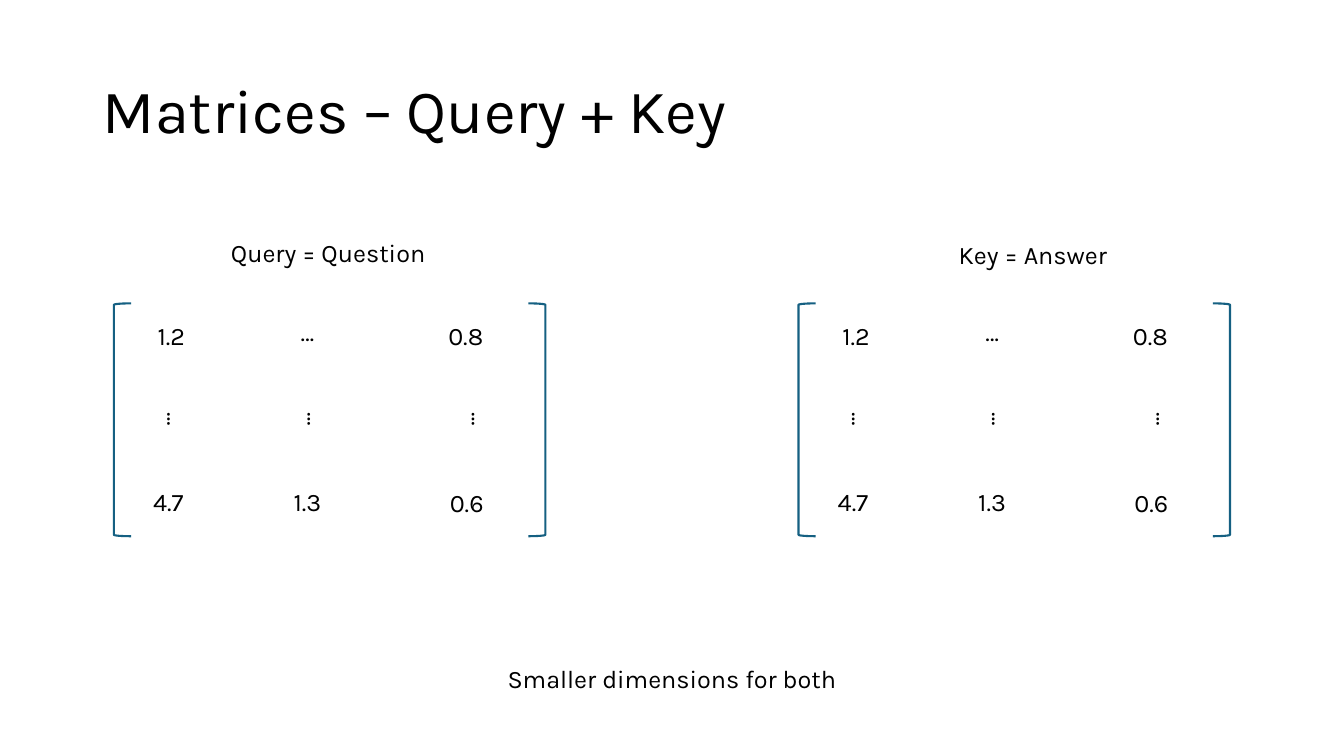
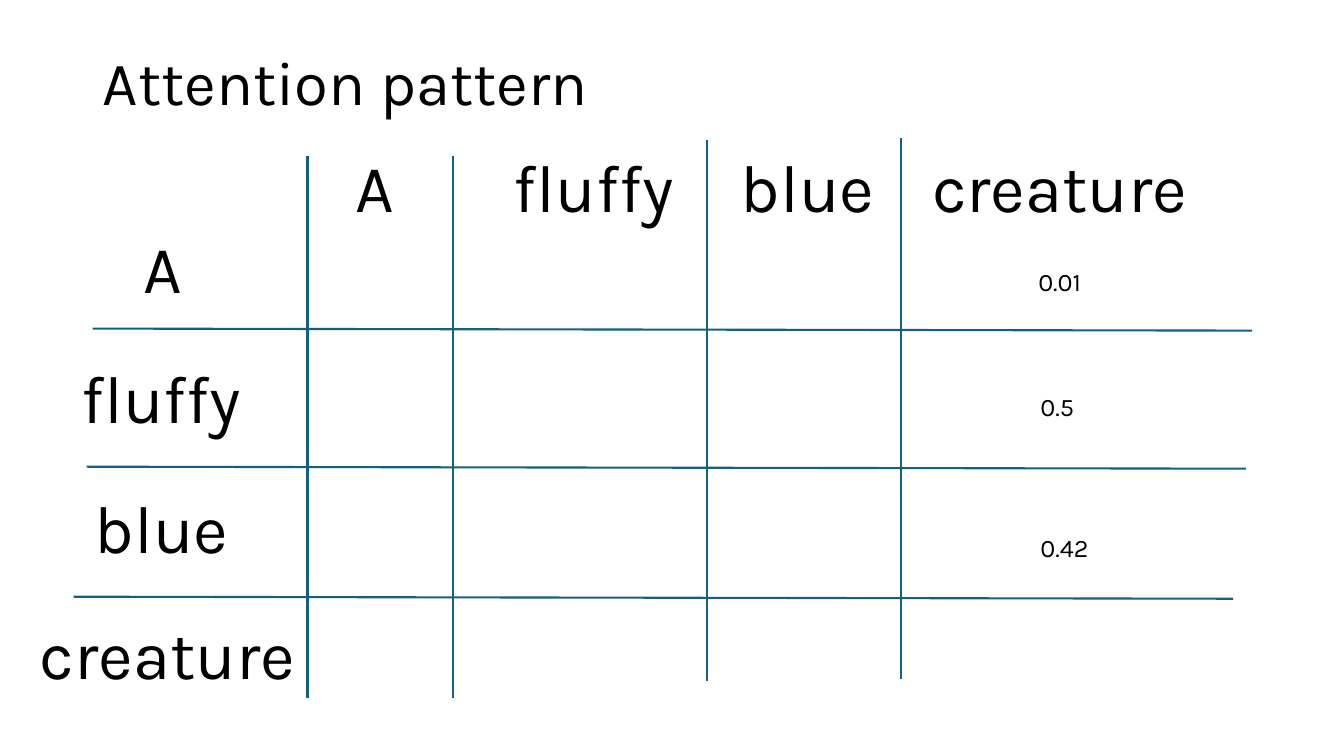
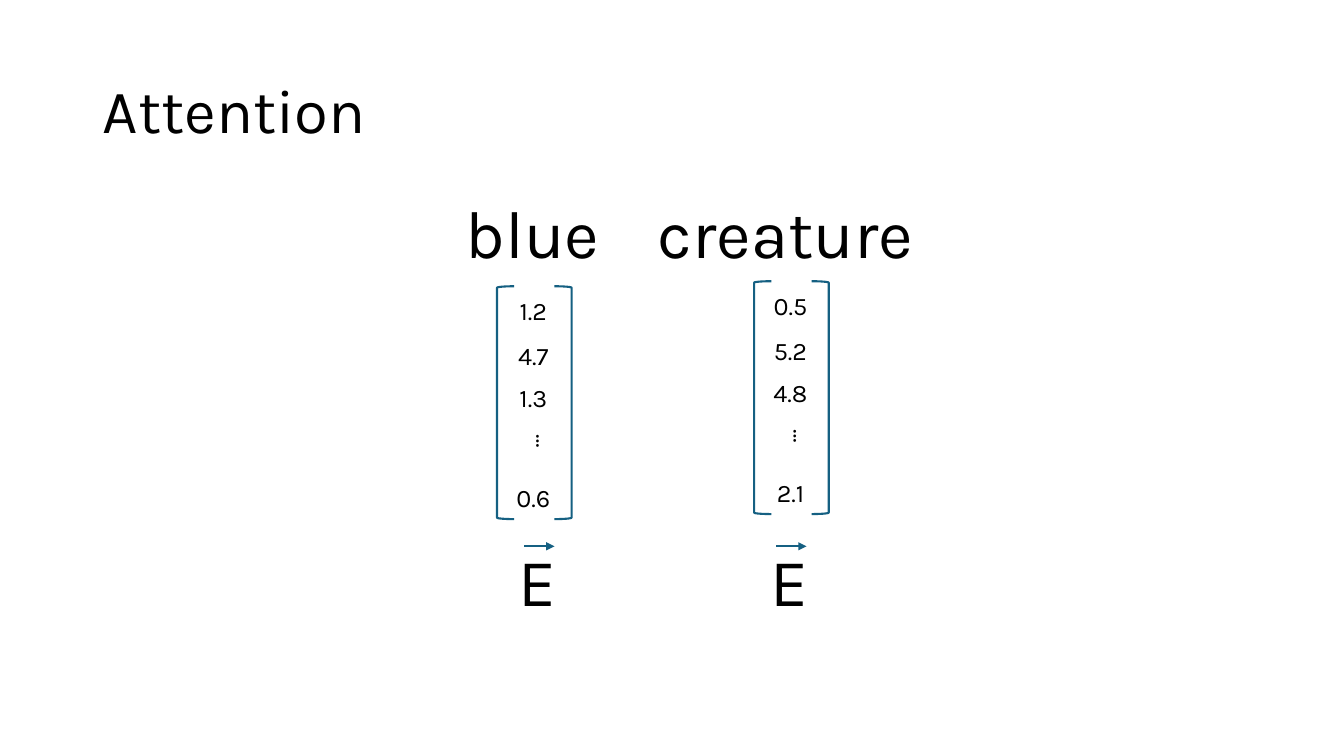
from pptx import Presentation
from pptx import util as u
from pptx.dml.color import RGBColor
from pptx.enum import shapes, text
from pptx.oxml import ns
from lxml import etree

Inches = u.Inches
BLACK = RGBColor(0x00, 0x00, 0x00)
TEAL = RGBColor(0x15, 0x60, 0x82)
FONT = "Karla"
LEFT, CENTER = text.PP_ALIGN.LEFT, text.PP_ALIGN.CENTER
BODY, WORD, HEADING = 18, 48, 44
BRACKET_W, BRACKET_H = 0.17, 2.31
DOTS = "…"

MATRICES = [("Query = Question", 0.62, 2.31, 1.13), ("Key = Answer", 7.61, 2.33, 7.92)]
MATRIX_TOP, MATRIX_SPAN = 3.01, 4.11
MATRIX_NUMBERS = [
    ("1.2", 0.17, 0.12), ("0.8", 3.09, 0.12),
    ("4.7", 0.14, 1.77), ("1.3", 1.52, 1.77), ("0.6", 3.1, 1.78),
]
MATRIX_DOTS = [(1.67, 0.13, 270), (0.33, 0.95, 0), (1.72, 0.95, 0), (3.35, 0.95, 0)]
DIMENSION_NOTE = "Smaller dimensions for both"

COLUMN_WORDS = [("A", 3.05, 1.34), ("fluffy", 4.78, 2.22), ("blue", 6.9, 2.22), ("creature", 9.12, 2.78)]
ROW_WORDS = [("A", 0.94, 2.2, 1.34), ("fluffy", 0.49, 3.49, 2.22),
             ("blue", 0.49, 4.78, 2.22), ("creature", 0.27, 6.03, 2.78)]
COLUMN_RULES = [(3.05, 1.55), (4.49, 1.55), (7.01, 1.39), (8.94, 1.37)]
ROW_RULES = [(0.92, 3.26), (0.86, 4.63), (0.73, 5.92)]
RULE_HEIGHT, RULE_WIDTH, RULE_DROP = 5.37, 11.5, 0.02
WEIGHTS = [("0.01", 10.2, 2.59), ("0.5", 10.22, 3.83), ("0.42", 10.22, 5.23)]

VECTORS = [
    dict(word="blue", word_left=4.17, word_width=2.22, left=4.93, top=2.84,
         values=["1.2", "4.7", "1.3", DOTS, "0.6"], symbol_left=4.93),
    dict(word="creature", word_left=6.4, word_width=2.78, left=7.48, top=2.79,
         values=["0.5", "5.2", "4.8", DOTS, "2.1"], symbol_left=7.43),
]
VECTOR_SPAN = 0.57
VALUE_DROPS = [0.04, 0.49, 0.9, 1.34, 1.9]


def format_text(frame, words, size=BODY, align=CENTER, spacing=None):
    frame.word_wrap = True
    paragraph = frame.paragraphs[0]
    paragraph.alignment = align
    paragraph.line_spacing = spacing
    run = paragraph.add_run()
    run.text = words
    run.font.size = u.Pt(size)
    run.font.name = FONT
    run.font.color.rgb = BLACK


def add_text(slide, words, left, top, width=0.8, height=0.4, vertical=False, rotation=0, **style):
    box = slide.shapes.add_textbox(Inches(left), Inches(top), Inches(width), Inches(height))
    format_text(box.text_frame, words, **style)
    box.text_frame.auto_size = text.MSO_AUTO_SIZE.SHAPE_TO_FIT_TEXT
    box.rotation = rotation
    if vertical:
        box.text_frame._txBody.bodyPr.set("vert", "vert")


def add_word(slide, word, left, top, width):
    add_text(slide, word, left, top, width, 0.91, size=WORD)


def add_dots(slide, left, top, rotation=0):
    add_text(slide, DOTS, left, top, 0.5, vertical=True, rotation=rotation)


def add_brackets(slide, left, top, span):
    for x, flipped in ((left, False), (left + span, True)):
        bracket = slide.shapes.add_shape(
            shapes.MSO_SHAPE.LEFT_BRACKET, Inches(x), Inches(top), Inches(BRACKET_W), Inches(BRACKET_H))
        bracket.shadow.inherit = False
        bracket.fill.background()
        bracket.line.color.rgb = TEAL
        bracket.line.width = u.Pt(1.5)
        if flipped:
            bracket._element.spPr.xfrm.set("flipH", "1")


def add_line(slide, x1, y1, x2, y2, arrow=False):
    line = slide.shapes.add_connector(
        shapes.MSO_CONNECTOR.STRAIGHT, Inches(x1), Inches(y1), Inches(x2), Inches(y2))
    line.line.color.rgb = TEAL
    line.line.width = u.Pt(1.5)
    properties = line._element.spPr
    if arrow:
        etree.SubElement(properties.find(ns.qn("a:ln")), ns.qn("a:tailEnd"), type="triangle")
    etree.SubElement(properties, ns.qn("a:effectLst"))


def add_slide(deck, heading, top=0.4):
    slide = deck.slides.add_slide(deck.slide_layouts[5])
    title = slide.shapes.title
    title.left, title.top, title.width, title.height = map(Inches, (0.92, top, 11.5, 1.45))
    format_text(title.text_frame, heading, size=HEADING, align=LEFT, spacing=0.9)
    title.text_frame.auto_size = text.MSO_AUTO_SIZE.NONE
    title.text_frame.vertical_anchor = text.MSO_ANCHOR.MIDDLE
    return slide


def build_matrices(deck):
    slide = add_slide(deck, "Matrices – Query + Key")
    for caption, caption_left, caption_top, left in MATRICES:
        add_text(slide, caption, caption_left, caption_top, 5.27)
        add_brackets(slide, left, MATRIX_TOP, MATRIX_SPAN)
        for number, dx, dy in MATRIX_NUMBERS:
            add_text(slide, number, left + dx, MATRIX_TOP + dy)
        for dx, dy, rotation in MATRIX_DOTS:
            add_dots(slide, left + dx, MATRIX_TOP + dy, rotation)
    add_text(slide, DIMENSION_NOTE, 4.03, 6.53, 5.27)


def build_pattern(deck):
    slide = add_slide(deck, "Attention pattern", top=0.12)
    for word, left, width in COLUMN_WORDS:
        add_word(slide, word, left, 1.39, width)
    for word, left, top, width in ROW_WORDS:
        add_word(slide, word, left, top, width)
    for x, top in COLUMN_RULES:
        add_line(slide, x, top, x, top + RULE_HEIGHT)
    for left, y in ROW_RULES:
        add_line(slide, left + RULE_WIDTH, y + RULE_DROP, left, y)
    for weight, left, top in WEIGHTS:
        add_text(slide, weight, left, top, 1.1, align=LEFT)


def build_attention(deck):
    slide = add_slide(deck, "Attention")
    for vector in VECTORS:
        left, top, symbol_left = vector["left"], vector["top"], vector["symbol_left"]
        add_word(slide, vector["word"], vector["word_left"], 1.85, vector["word_width"])
        add_brackets(slide, left, top, VECTOR_SPAN)
        for value, drop in zip(vector["values"], VALUE_DROPS):
            if value == DOTS:
                add_dots(slide, left + 0.19, top + drop)
            else:
                add_text(slide, value, left - 0.04, top + drop)
        add_word(slide, "E", symbol_left, 5.3, 0.79)
        add_line(slide, symbol_left + 0.27, 5.42, symbol_left + 0.57, 5.42, arrow=True)


def main():
    deck = Presentation()
    deck.slide_width, deck.slide_height = Inches(13.33), Inches(7.5)
    build_matrices(deck)
    build_pattern(deck)
    build_attention(deck)
    deck.save("out.pptx")


if __name__ == "__main__":
    main()
